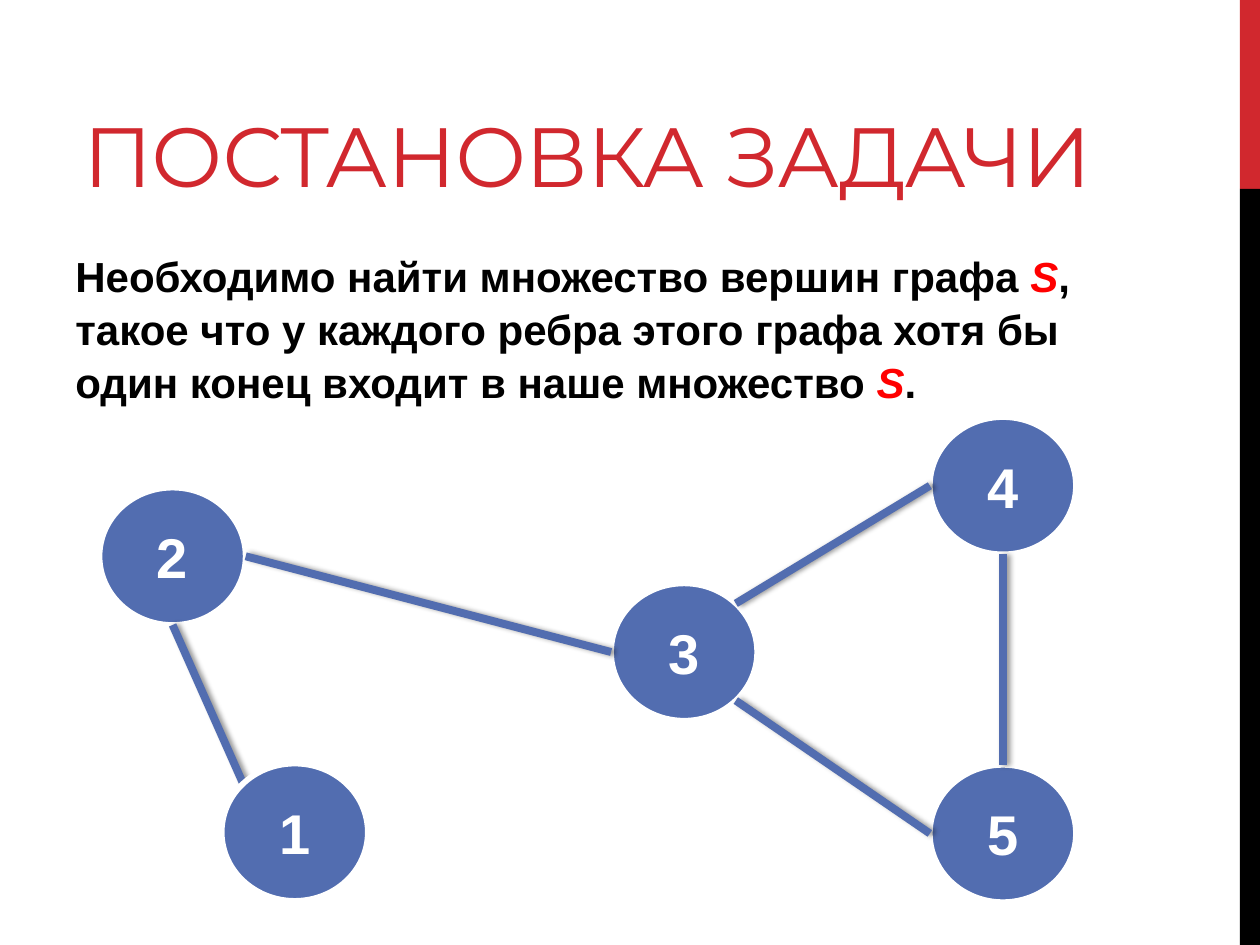
"""Build a slide that states the vertex cover problem with a five-vertex graph."""
from dataclasses import dataclass
from math import cos, radians, sin

from lxml.etree import SubElement
from pptx import Presentation
from pptx.dml.color import RGBColor
from pptx.enum.shapes import MSO_CONNECTOR, MSO_SHAPE
from pptx.enum.text import MSO_ANCHOR, PP_ALIGN
from pptx.oxml.ns import qn
from pptx.util import Inches, Pt


@dataclass(frozen=True)
class Theme:
    red: str = "D1282E"
    black: str = "000000"
    white: str = "FFFFFF"
    blue: str = "526DB0"
    accent: str = "FF0000"
    title_font: str = "Montserrat"
    body_font: str = "Arial"
    title_size: float = 48
    body_size: float = 24
    vertex_size: float = 32
    outline_width: float = 3.25
    edge_width: float = 4.5


THEME = Theme()
TITLE = "ПОСТАНОВКА ЗАДАЧИ"
BODY = [
    ("Необходимо найти множество вершин графа ", False),
    ("S", True),
    (", такое что у каждого ребра этого графа хотя бы один конец входит в наше множество ", False),
    ("S", True),
    (".", False),
]
SIDE_BARS = [(0, 1.5, THEME.red), (1.5, 6, THEME.black)]
VERTEX_WIDTH, VERTEX_HEIGHT = 1.16, 1.09
VERTICES = {
    "3": (4.85, 4.63),
    "4": (7.38, 3.31),
    "2": (0.79, 3.87),
    "5": (7.38, 6.07),
    "1": (1.76, 6.06),
}
FRONT_VERTEX = "1"
RIGHT, BOTTOM, LEFT, TOP = 0, 90, 180, 270
EDGES = [
    ("4", BOTTOM, "5", TOP),
    ("4", LEFT, "3", 315),
    ("5", LEFT, "3", 45),
    ("3", LEFT, "2", RIGHT),
    ("1", 225, "2", BOTTOM),
]


def add_text(paragraph, text, *, size, color, font=THEME.body_font, bold=False, italic=False, spacing=None):
    run = paragraph.add_run()
    run.text = text
    run.font.name = font
    run.font.size = Pt(size)
    run.font.bold = bold
    run.font.italic = italic
    run.font.color.rgb = RGBColor.from_string(color)
    if spacing is not None:
        run.font._element.set("spc", str(round(spacing * 100)))


def add_text_box(slide, left, top, width, height, anchor):
    frame = slide.shapes.add_textbox(*map(Inches, (left, top, width, height))).text_frame
    frame.word_wrap = True
    frame.vertical_anchor = anchor
    return frame.paragraphs[0]


def add_filled_shape(slide, kind, left, top, width, height, color):
    shape = slide.shapes.add_shape(kind, *map(Inches, (left, top, width, height)))
    shape.shadow.inherit = False
    shape.fill.solid()
    shape.fill.fore_color.rgb = RGBColor.from_string(color)
    shape.line.fill.background()
    return shape


def add_vertex(slide, name):
    shape = add_filled_shape(slide, MSO_SHAPE.OVAL, *VERTICES[name], VERTEX_WIDTH, VERTEX_HEIGHT, THEME.blue)
    shape.line.color.rgb = RGBColor.from_string(THEME.white)
    shape.line.width = Pt(THEME.outline_width)
    shape.text_frame.vertical_anchor = MSO_ANCHOR.MIDDLE
    paragraph = shape.text_frame.paragraphs[0]
    paragraph.alignment = PP_ALIGN.CENTER
    add_text(paragraph, name, size=THEME.vertex_size, color=THEME.white, bold=True)


def rim_point(name, angle):
    left, top = VERTICES[name]
    x = left + VERTEX_WIDTH / 2 * (1 + cos(radians(angle)))
    y = top + VERTEX_HEIGHT / 2 * (1 + sin(radians(angle)))
    return Inches(x), Inches(y)


def add_edge(slide, start, start_angle, end, end_angle):
    edge = slide.shapes.add_connector(
        MSO_CONNECTOR.STRAIGHT, *rim_point(start, start_angle), *rim_point(end, end_angle)
    )
    edge.line.color.rgb = RGBColor.from_string(THEME.blue)
    edge.line.width = Pt(THEME.edge_width)
    effects = SubElement(edge._element.spPr, qn("a:effectLst"))
    shadow = SubElement(
        effects, qn("a:outerShdw"), blurRad=str(Pt(3.1)), dist=str(Pt(1.8)), dir="0", rotWithShape="0"
    )
    color = SubElement(shadow, qn("a:srgbClr"), val=THEME.black)
    SubElement(color, qn("a:alpha"), val="40000")


def main():
    presentation = Presentation()
    presentation.slide_width, presentation.slide_height = Inches(10), Inches(7.5)
    slide = presentation.slides.add_slide(presentation.slide_layouts[6])

    for top, height, color in SIDE_BARS:
        add_filled_shape(slide, MSO_SHAPE.RECTANGLE, 9.84, top, 0.16, height, color)

    title = add_text_box(slide, 0.5, 0.17, 8.33, 1.5, MSO_ANCHOR.BOTTOM)
    title.alignment = PP_ALIGN.CENTER
    add_text(title, TITLE, size=THEME.title_size, color=THEME.red, font=THEME.title_font, spacing=-0.6)

    body = add_text_box(slide, 0.5, 1.92, 8.33, 1.39, MSO_ANCHOR.TOP)
    body.line_spacing = 1.05
    body.space_after = Pt(6)
    for text, is_symbol in BODY:
        color = THEME.accent if is_symbol else THEME.black
        add_text(body, text, size=THEME.body_size, color=color, bold=True, italic=is_symbol)

    for name in VERTICES:
        if name != FRONT_VERTEX:
            add_vertex(slide, name)
    for edge in EDGES:
        add_edge(slide, *edge)
    add_vertex(slide, FRONT_VERTEX)

    presentation.save("out.pptx")


if __name__ == "__main__":
    main()
